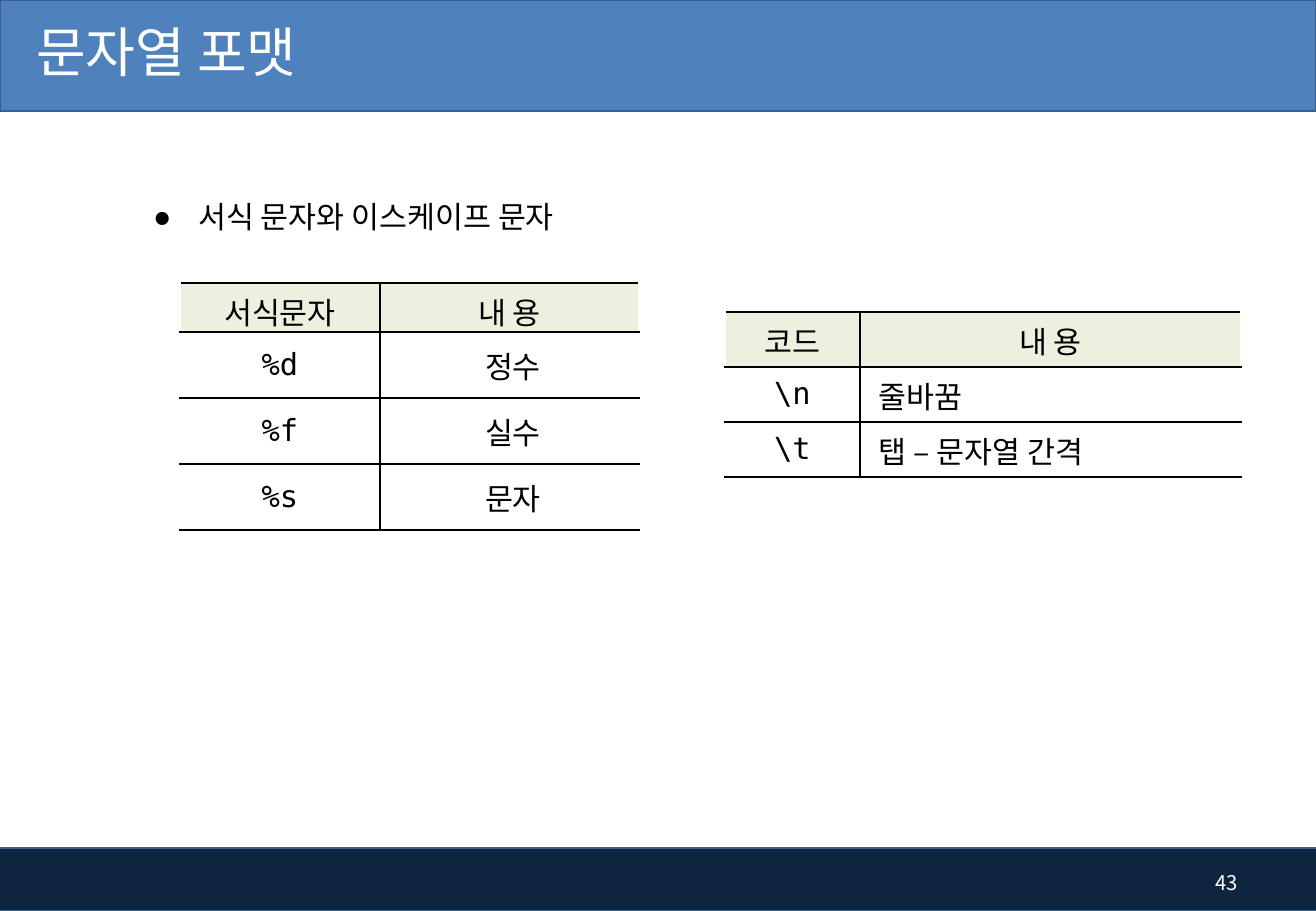
from dataclasses import dataclass

from lxml.etree import SubElement
from pptx import Presentation
from pptx.dml.color import RGBColor
from pptx.enum.shapes import MSO_SHAPE as Shape
from pptx.enum.text import MSO_ANCHOR as Anchor, PP_ALIGN as Align
from pptx.oxml.ns import qn
from pptx.util import Emu, Pt


@dataclass(frozen=True)
class Theme:
    navy: str = "0F243E"
    blue: str = "4F81BD"
    edge: str = "3A5F8C"
    header: str = "EBF1DE"
    ink: str = "000000"
    white: str = "FFFFFF"
    title: int = 32
    body: int = 18
    number: int = 12
    line: int = 1
    korean: str = "Noto Sans CJK KR"
    cell: str = "Noto Sans CJK SC"
    code: str = "DejaVu Sans Mono"


class Deck:
    """Builds the slide in px with one theme."""

    def __init__(self, prs, theme):
        self.theme = theme
        self.s = prs.slides.add_slide(prs.slide_layouts[1])

    @staticmethod
    def px(*values):
        return [Emu(round(v * 914400 / 121.5)) for v in values]

    def place(self, sp, *box):
        sp.left, sp.top, sp.width, sp.height = self.px(*box)

    def set_text(self, tf, text, size, color, font, align=Align.LEFT):
        tf.text = text
        p = tf.paragraphs[0]
        p.alignment = align
        r = p.runs[0]
        r.font.size = Pt(size)
        r.font.name = font
        r.font.color.rgb = RGBColor.from_string(color)
        SubElement(r.font._element, qn("a:ea"), typeface=font)
        return p

    def bar(self, box, color):
        sp = self.s.shapes.add_shape(Shape.RECTANGLE, *self.px(*box))
        sp.shadow.inherit = False
        sp.fill.solid()
        sp.fill.fore_color.rgb = RGBColor.from_string(color)
        sp.line.color.rgb = RGBColor.from_string(self.theme.edge)
        sp.line.width = Pt(self.theme.line)
        self.s.shapes._spTree.insert(2, sp._element)

    def title(self, text, box):
        t, sp = self.theme, self.s.shapes.title
        self.place(sp, *box)
        tf = sp.text_frame
        tf.vertical_anchor = Anchor.MIDDLE
        tf.margin_left = self.px(36)[0]
        self.set_text(tf, text, t.title, t.white, t.korean).line_spacing = 0.9

    def bullet(self, text, box):
        t, sp = self.theme, self.s.placeholders[1]
        self.place(sp, *box)
        p = self.set_text(sp.text_frame, text, t.body, t.ink, t.korean)
        p.line_spacing = 0.9
        p.space_before = Pt(0)
        pPr = p._p.get_or_add_pPr()
        indent = self.px(45)[0]
        pPr.set("marL", str(indent))
        pPr.set("indent", str(-indent))
        SubElement(pPr, qn("a:buChar"), char="●")

    def number(self, text, box):
        t = self.theme
        tf = self.s.shapes.add_textbox(*self.px(*box)).text_frame
        tf.word_wrap = True
        tf.vertical_anchor = Anchor.MIDDLE
        self.set_text(tf, text, t.number, t.white, t.korean, Align.RIGHT)

    def borders(self, cell, sides):
        tcPr = cell._tc.get_or_add_tcPr()
        for side in sides:
            ln = SubElement(tcPr, qn(f"a:ln{side}"), w=str(Pt(self.theme.line)))
            fill = SubElement(ln, qn("a:solidFill"))
            SubElement(fill, qn("a:srgbClr"), val=self.theme.ink)

    def table(self, left, top, cols, heights, rows, align, header_bottom):
        t = self.theme
        box = self.px(left, top, sum(cols), sum(heights))
        tbl = self.s.shapes.add_table(len(rows), len(cols), *box).table
        tbl.first_row = tbl.horz_banding = False
        for col, width in zip(tbl.columns, self.px(*cols)):
            col.width = width
        for row, height in zip(tbl.rows, self.px(*heights)):
            row.height = height
        for i, row in enumerate(rows):
            for j, text in enumerate(row):
                cell = tbl.cell(i, j)
                cell.vertical_anchor = Anchor.MIDDLE
                self.borders(cell, "LTB" if j else "RTB")
                if i == 0:
                    cell.fill.solid()
                    cell.fill.fore_color.rgb = RGBColor.from_string(t.header)
                    cell.margin_bottom = self.px(header_bottom)[0]
                else:
                    cell.fill.background()
                    cell.margin_left = self.px(19 if j else 12)[0]
                font = t.korean if i == 0 else t.cell if j else t.code
                side = align if i and j else Align.CENTER
                self.set_text(cell.text_frame, text, t.body, t.ink, font, side)


def main():
    prs = Presentation()
    prs.slide_width, prs.slide_height = Deck.px(1316, 911)
    theme = Theme()
    deck = Deck(prs, theme)
    deck.bar((0, 0, 1316, 111), theme.blue)
    deck.bar((-5, 848, 1322, 63), theme.navy)
    deck.title("문자열 포맷", (0, -2, 878, 114))
    deck.number("43", (1176, 858, 74, 48))
    deck.bullet("서식 문자와 이스케이프 문자", (141, 196, 679, 49))
    formats = [("서식문자", "내 용"), ("%d", "정수"), ("%f", "실수"), ("%s", "문자")]
    deck.table(180, 283, (200, 259), (49, 66, 66, 66), formats, Align.CENTER, 0)
    escapes = [("코드", "내 용"), ("\\n", "줄바꿈"), ("\\t", "탭 – 문자열 간격")]
    deck.table(725, 312, (135, 381), (55, 55, 55), escapes, Align.LEFT, 6)
    prs.save("out.pptx")


if __name__ == "__main__":
    main()
